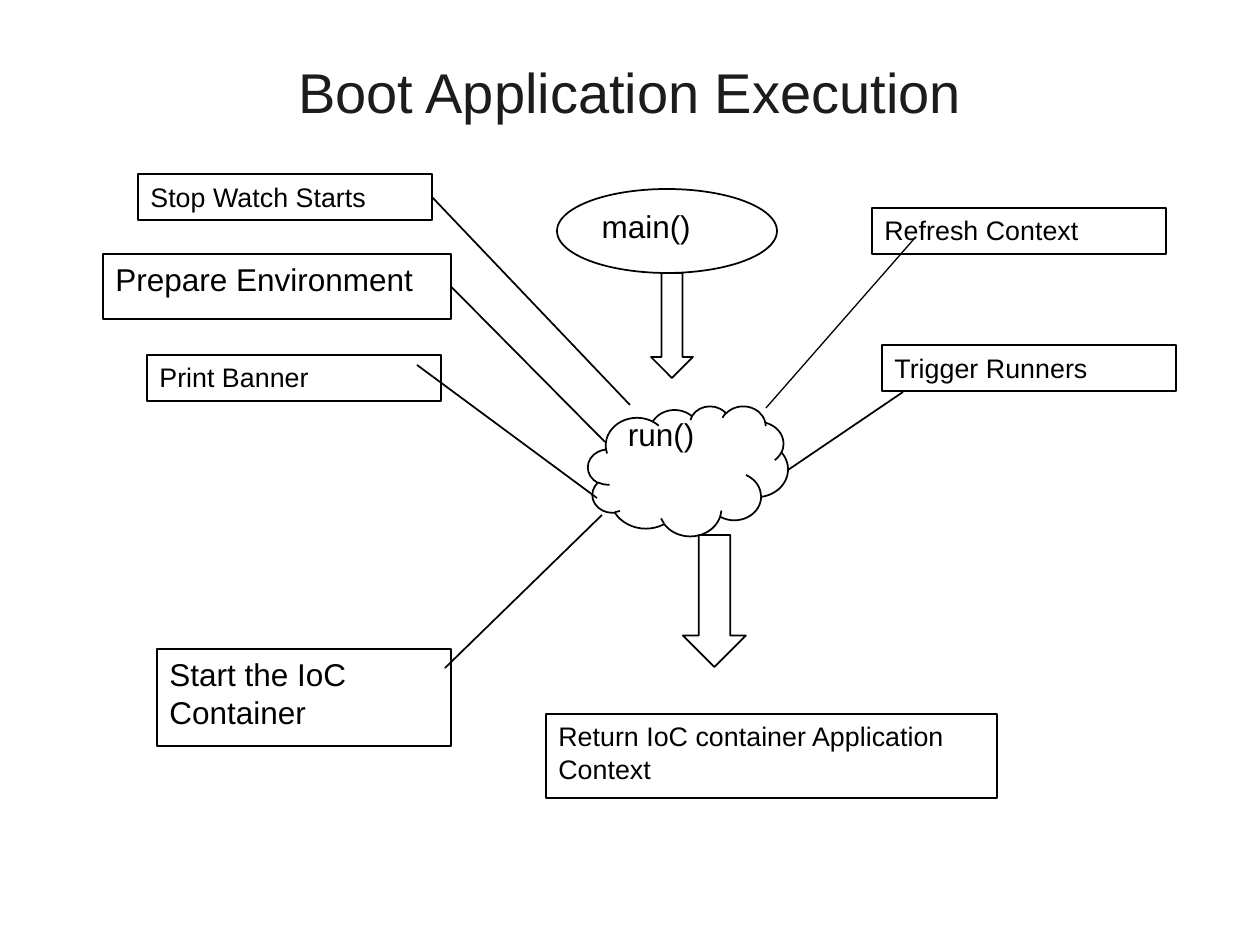
import pptx
import pptx.util
import pptx.dml.color
import pptx.enum.shapes
import pptx.enum.text
import pptx.oxml.ns
import lxml.etree

KIND = pptx.enum.shapes.MSO_SHAPE
ANCHOR = pptx.enum.text.MSO_ANCHOR
ALIGN = pptx.enum.text.PP_ALIGN
INK = "000000"
SMALL, LARGE = 15.3, 18

TITLE = ("Boot Application Execution", (63, 63, 1134, 57))
NODES = [
    ("main()", KIND.OVAL, (557, 189, 220, 84), LARGE),
    ("", KIND.DOWN_ARROW, (651, 273, 42, 105), LARGE),
    ("run()", KIND.CLOUD, (588, 406, 200, 130), LARGE),
    ("", KIND.DOWN_ARROW, (683, 535, 63, 132), LARGE),
    ("Return IoC container Application Context", KIND.RECTANGLE, (546, 714, 451, 84), SMALL),
    ("Print Banner", KIND.RECTANGLE, (147, 355, 294, 46), SMALL),
    ("Stop Watch Starts", KIND.RECTANGLE, (138, 174, 294, 46), SMALL),
    ("Prepare Environment", KIND.RECTANGLE, (103, 254, 348, 65), LARGE),
    ("Trigger Runners", KIND.RECTANGLE, (882, 345, 294, 46), SMALL),
    ("Start the IoC Container", KIND.RECTANGLE, (157, 649, 294, 97), LARGE),
    ("Refresh Context", KIND.RECTANGLE, (872, 208, 294, 46), SMALL),
]
LINKS = [
    ((432, 197), (630, 405), 1, "Stop Watch Starts"),
    ((451, 286), (605, 442), 1, "Prepare Environment"),
    ((417, 365), (597, 498), 1, None),
    ((445, 668), (602, 515), 1, None),
    ((766, 408), (914, 239), 0.75, None),
    ((788, 470), (903, 392), 1, None),
]
RIGHT = 3


def px(num):
    return round(num * 914400 / 126)


def color(code):
    return pptx.dml.color.RGBColor.from_string(code)


def style(frame, size, code, align):
    for para in frame.paragraphs:
        para.alignment = align
        for run in para.runs:
            run.font.name = "Arial"
            run.font.size = pptx.util.Pt(size)
            run.font.color.rgb = color(code)


def pen(item, width):
    item.line.color.rgb = color(INK)
    item.line.width = pptx.util.Pt(width)


def add_node(slide, text, kind, place, size):
    shape = slide.shapes.add_shape(kind, *map(px, place))
    shape.shadow.inherit = False
    shape.fill.background()
    pen(shape, 1)
    if text:
        frame = shape.text_frame
        frame.text = text
        frame.word_wrap = True
        frame.vertical_anchor = ANCHOR.TOP
        if kind == KIND.CLOUD:
            frame.margin_top = px(-11)
        style(frame, size, INK, ALIGN.LEFT)
    return shape


def add_link(slide, start, end, width, node):
    line = slide.shapes.add_connector(
        pptx.enum.shapes.MSO_CONNECTOR.STRAIGHT, *map(px, start + end))
    pen(line, width)
    lxml.etree.SubElement(line._element.spPr, pptx.oxml.ns.qn("a:effectLst"))
    if node is not None:
        line.begin_connect(node, RIGHT)


def main():
    deck = pptx.Presentation()
    deck.slide_width, deck.slide_height = px(1260), px(945)
    slide = deck.slides.add_slide(deck.slide_layouts[5])

    text, place = TITLE
    title = slide.shapes.title
    title.left, title.top, title.width, title.height = map(px, place)
    title.text_frame.text = text
    title.text_frame.vertical_anchor = ANCHOR.MIDDLE
    style(title.text_frame, 32, "1C1C1C", ALIGN.CENTER)

    nodes = {}
    for node in NODES:
        nodes[node[0]] = add_node(slide, *node)
    for start, end, width, name in LINKS:
        add_link(slide, start, end, width, nodes.get(name))
    deck.save("out.pptx")


if __name__ == "__main__":
    main()
